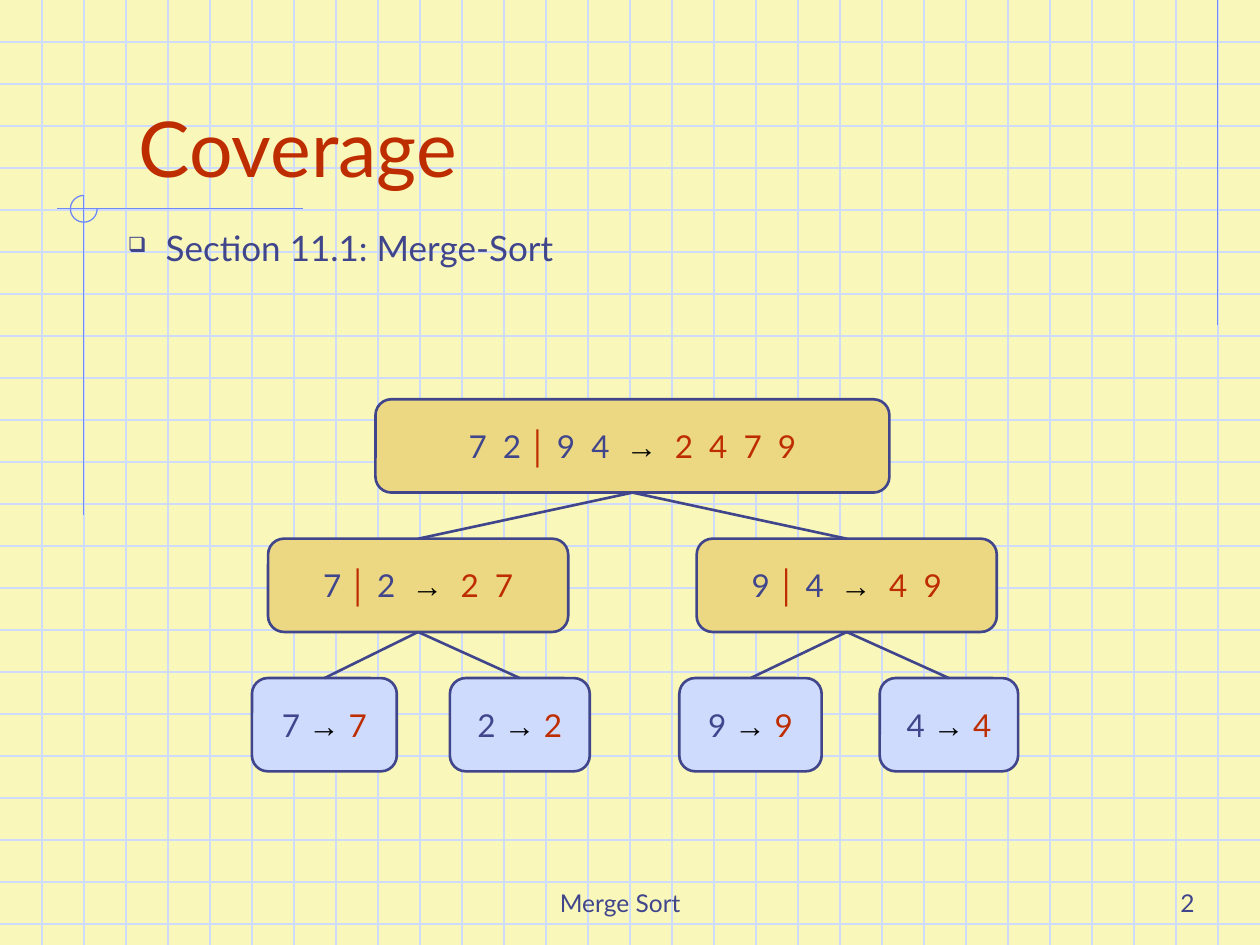
from collections import namedtuple

from lxml import etree
from pptx import Presentation
from pptx.dml.color import RGBColor
from pptx.enum.shapes import MSO_CONNECTOR, MSO_SHAPE
from pptx.enum.text import MSO_ANCHOR, PP_ALIGN
from pptx.oxml.ns import qn
from pptx.util import Cm, Pt

STRAIGHT = MSO_CONNECTOR.STRAIGHT
ARC, ROUNDED = MSO_SHAPE.ARC, MSO_SHAPE.ROUNDED_RECTANGLE
LEFT, CENTER, RIGHT = PP_ALIGN.LEFT, PP_ALIGN.CENTER, PP_ALIGN.RIGHT
TOP, MIDDLE, BOTTOM = MSO_ANCHOR.TOP, MSO_ANCHOR.MIDDLE, MSO_ANCHOR.BOTTOM
TOP_SITE, BOTTOM_SITE = 0, 2

COLORS = {
    "paper": "F9F8BA",
    "grid": "CFDBFD",
    "rule": "6F89F7",
    "ink": "40458C",
    "accent": "BE2D00",
    "arrow": "000000",
    "merge": "ECD882",
    "leaf": "CFDBFD",
}
WIDTH, HEIGHT = 25.4, 19.05
GRID_STEP = WIDTH / 30

Box = namedtuple("Box", "left top width height")
Node = namedtuple("Node", "row center width parent first second result")

NODE_HEIGHT, ROW_STEP = 1.88, 2.81
NODES = [
    Node(0, 7.67, 10.36, None, "7  2", "9  4", "2  4  7  9"),
    Node(1, 3.35, 6.05, 0, "7", "2", "2  7"),
    Node(1, 11.99, 6.05, 0, "9", "4", "4  9"),
    Node(2, 1.46, 2.92, 1, "7", None, "7"),
    Node(2, 5.4, 2.82, 1, "2", None, "2"),
    Node(2, 10.05, 2.87, 2, "9", None, "9"),
    Node(2, 14.05, 2.79, 2, "4", None, "4"),
]


def color(name):
    return RGBColor.from_string(COLORS[name])


def set_font(font, size, color_name, name="Lato", bold=False):
    font.name = name
    font.size = Pt(size)
    font.bold = bold
    font.color.rgb = color(color_name)


def add_line(slide, x1, y1, x2, y2, color_name, weight=0.75):
    line = slide.shapes.add_connector(STRAIGHT, Cm(x1), Cm(y1), Cm(x2), Cm(y2))
    line.line.color.rgb = color(color_name)
    line.line.width = Pt(weight)
    etree.SubElement(line.element.spPr, qn("a:effectLst"))
    return line


def add_grid(slide, box):
    right, bottom = box.left + box.width, box.top + box.height
    for row in range(1, int(box.height / GRID_STEP) + 1):
        y = box.top + row * GRID_STEP
        add_line(slide, box.left, y, right, y, "grid")
    for column in range(1, 30):
        x = box.left + column * GRID_STEP
        add_line(slide, x, box.top, x, bottom, "grid")


def add_title_rules(slide, box):
    center_x, center_y, radius = box.left + 0.55, box.top + 0.27, 0.27
    add_line(slide, box.left, center_y, box.left + box.width, center_y, "rule")
    add_line(slide, center_x, box.top, center_x, box.top + box.height, "rule")
    arc = slide.shapes.add_shape(ARC, Cm(center_x - radius), Cm(box.top),
                                 Cm(2 * radius), Cm(2 * radius))
    arc.adjustments[0] = 0
    arc.adjustments[1] = 162
    arc.shadow.inherit = False
    arc.fill.background()
    arc.line.color.rgb = color("rule")
    arc.line.width = Pt(0.75)


def place_title(slide, box, text):
    title = slide.shapes.title
    title.left, title.top, title.width, title.height = map(Cm, box)
    title.text_frame.vertical_anchor = BOTTOM
    paragraph = title.text_frame.paragraphs[0]
    paragraph.text = text
    paragraph.alignment = LEFT
    set_font(paragraph.font, 44, "accent")
    title.element.getparent().append(title.element)


def add_text(slide, box, text, size, alignment=LEFT, anchor=TOP, bullet=None):
    frame = slide.shapes.add_textbox(*map(Cm, box)).text_frame
    frame.word_wrap = True
    frame.vertical_anchor = anchor
    paragraph = frame.paragraphs[0]
    paragraph.text = text
    paragraph.alignment = alignment
    if bullet:
        add_bullet(paragraph, bullet)
    set_font(paragraph.font, size, "ink")


def add_bullet(paragraph, character):
    properties = paragraph._p.get_or_add_pPr()
    properties.set("marL", str(Cm(0.76)))
    properties.set("indent", str(-Cm(0.76)))
    bullet_color = etree.SubElement(properties, qn("a:buClr"))
    etree.SubElement(bullet_color, qn("a:srgbClr"), val=COLORS["ink"])
    etree.SubElement(properties, qn("a:buSzPct"), val="60000")
    etree.SubElement(properties, qn("a:buChar"), char=character)


def add_node(slide, box, node):
    shape = slide.shapes.add_shape(ROUNDED, *map(Cm, box))
    shape.adjustments[0] = 0.17
    shape.shadow.inherit = False
    shape.fill.solid()
    shape.fill.fore_color.rgb = color("merge" if node.second else "leaf")
    shape.line.color.rgb = color("ink")
    shape.line.width = Pt(1.5)
    frame = shape.text_frame
    frame.word_wrap = False
    frame.vertical_anchor = MIDDLE
    paragraph = frame.paragraphs[0]
    paragraph.alignment = CENTER

    pieces = [(f"{node.first} ", "ink", "Lato", False)]
    if node.second:
        pieces += [("│", "accent", "Arial", True),
                   (f" {node.second}  ", "ink", "Lato", False)]
    pieces += [("→  " if node.second else "→ ", "arrow", "Arial", True),
               (node.result, "accent", "Lato", False)]
    for text, color_name, font_name, bold in pieces:
        run = paragraph.add_run()
        run.text = text
        set_font(run.font, 18, color_name, font_name, bold)
    return shape


def add_merge_tree(slide, box):
    shapes = []
    for node in NODES:
        node_box = Box(box.left + node.center - node.width / 2,
                       box.top + node.row * ROW_STEP, node.width, NODE_HEIGHT)
        shapes.append(add_node(slide, node_box, node))
    for node, shape in zip(NODES, shapes):
        if node.parent is not None:
            branch = add_line(slide, 0, 0, 1, 1, "ink", 1.5)
            branch.begin_connect(shapes[node.parent], BOTTOM_SITE)
            branch.end_connect(shape, TOP_SITE)


def build_coverage_slide(presentation):
    slide = presentation.slides.add_slide(presentation.slide_layouts[5])
    slide.background.fill.solid()
    slide.background.fill.fore_color.rgb = color("paper")
    add_grid(slide, Box(0, 0, WIDTH, HEIGHT))
    add_line(slide, 24.55, 0, 24.55, 6.55, "rule")
    add_title_rules(slide, Box(1.14, 3.94, 4.96, 6.45))
    place_title(slide, Box(2.54, 0.85, 21.59, 3.17), "Coverage")
    add_text(slide, Box(2.33, 4.45, 17.98, 1.9), "Section 11.1: Merge-Sort", 20,
             bullet="❑")
    add_merge_tree(slide, Box(5.08, 8.05, 15.44, 7.5))
    add_text(slide, Box(5.92, 17.35, 8.05, 1.27), "Merge Sort", 14, RIGHT, BOTTOM)
    add_text(slide, Box(19.05, 17.35, 5.28, 1.27), "2", 14, RIGHT, BOTTOM)


def main():
    presentation = Presentation()
    presentation.slide_width = Cm(WIDTH)
    presentation.slide_height = Cm(HEIGHT)
    build_coverage_slide(presentation)
    presentation.save("out.pptx")


if __name__ == "__main__":
    main()
